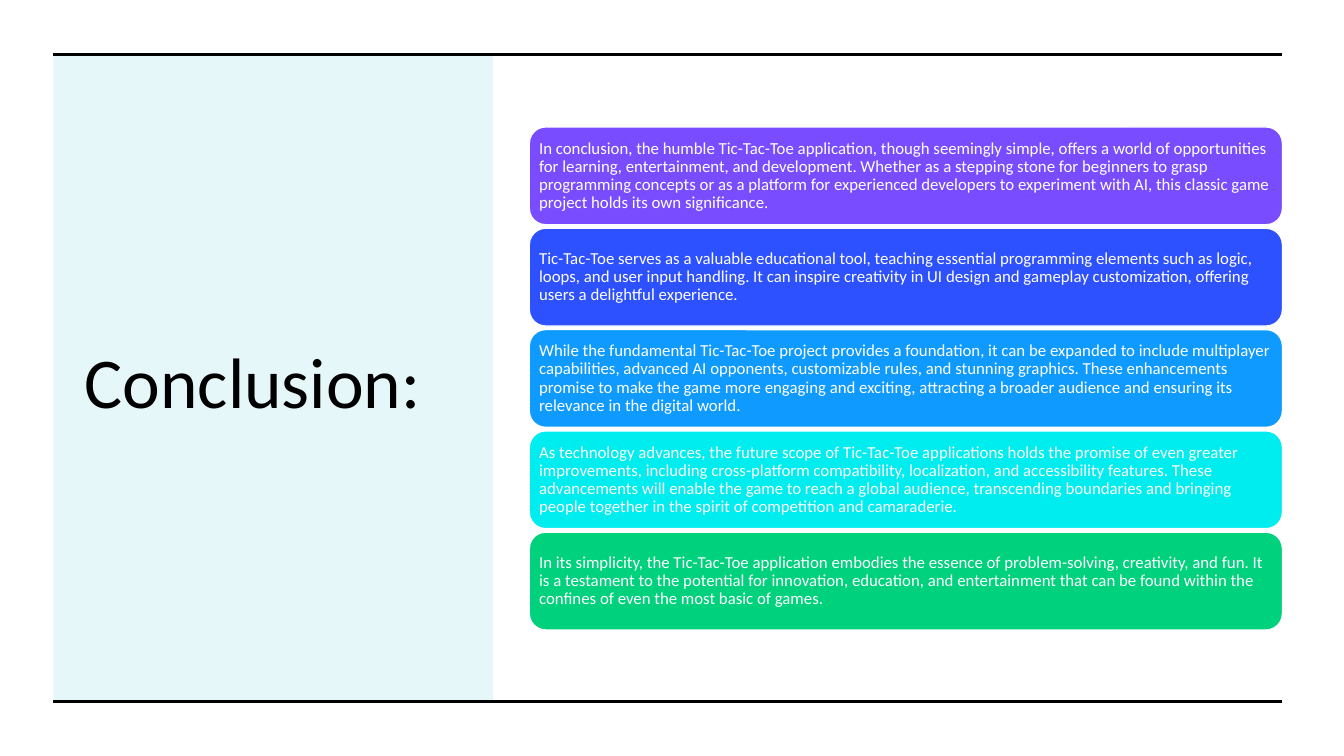
from lxml import etree
from pptx import Presentation
from pptx.dml.color import RGBColor
from pptx.enum import shapes, text
from pptx.oxml.ns import qn
from pptx.util import Inches, Pt

FONT = "Calibri"
BLACK, WHITE, TEAL = "000000", "FFFFFF", "00BAC8"

# Frame shared by the panel and the rules
FRAME_LEFT, FRAME_RIGHT = 0.53, 12.72
FRAME_TOP, FRAME_BOTTOM = 0.54, 6.96
PANEL_WIDTH = 4.36

# Stack of cards
CARD_LEFT, CARD_HEIGHT = 5.25, 0.97
FIRST_CARD_TOP, LAST_CARD_TOP = 1.26, 5.28

CARDS = [
    ("794DFF", "In conclusion, the humble Tic-Tac-Toe application, though seemingly simple, "
     "offers a world of opportunities for learning, entertainment, and development. Whether "
     "as a stepping stone for beginners to grasp programming concepts or as a platform for "
     "experienced developers to experiment with AI, this classic game project holds its own "
     "significance."),
    ("2E51FF", "Tic-Tac-Toe serves as a valuable educational tool, teaching essential "
     "programming elements such as logic, loops, and user input handling. It can inspire "
     "creativity in UI design and gameplay customization, offering users a delightful "
     "experience."),
    ("0F9AFF", "While the fundamental Tic-Tac-Toe project provides a foundation, it can be "
     "expanded to include multiplayer capabilities, advanced AI opponents, customizable "
     "rules, and stunning graphics. These enhancements promise to make the game more engaging "
     "and exciting, attracting a broader audience and ensuring its relevance in the digital "
     "world."),
    ("00EDF0", "As technology advances, the future scope of Tic-Tac-Toe applications holds "
     "the promise of even greater improvements, including cross-platform compatibility, "
     "localization, and accessibility features. These advancements will enable the game to "
     "reach a global audience, transcending boundaries and bringing people together in the "
     "spirit of competition and camaraderie."),
    ("00D17D", "In its simplicity, the Tic-Tac-Toe application embodies the essence of "
     "problem-solving, creativity, and fun. It is a testament to the potential for innovation, "
     "education, and entertainment that can be found within the confines of even the most "
     "basic of games."),
]


def color(value):
    return RGBColor.from_string(value)


def write_text(shape, content, *, size, font_color, margin=None, line_spacing=None):
    frame = shape.text_frame
    frame.text = content
    frame.word_wrap = True
    frame.auto_size = text.MSO_AUTO_SIZE.NONE
    frame.vertical_anchor = text.MSO_ANCHOR.MIDDLE
    if margin is not None:
        frame.margin_left = frame.margin_right = Inches(margin)
        frame.margin_top = frame.margin_bottom = Inches(margin)
    paragraph = frame.paragraphs[0]
    paragraph.alignment = text.PP_ALIGN.LEFT
    if line_spacing:
        paragraph.line_spacing = line_spacing
    font = paragraph.runs[0].font
    font.name, font.size = FONT, Pt(size)
    font.color.rgb = color(font_color)


def add_box(slide, kind, left, top, width, height, fill, line=None):
    shape = slide.shapes.add_shape(
        kind, Inches(left), Inches(top), Inches(width), Inches(height))
    shape.shadow.inherit = False
    shape.fill.solid()
    shape.fill.fore_color.rgb = color(fill)
    if line:
        shape.line.color.rgb = color(line)
        shape.line.width = Pt(1)
    else:
        shape.line.fill.background()
    return shape


def add_panel(slide):
    panel = add_box(slide, shapes.MSO_SHAPE.RECTANGLE, FRAME_LEFT, FRAME_TOP,
                    PANEL_WIDTH, FRAME_BOTTOM - FRAME_TOP, TEAL)
    fill_color = panel.element.spPr.find(qn("a:solidFill"))[0]
    etree.SubElement(fill_color, qn("a:alpha"), val="10000")
    return panel


def add_title(slide, content):
    title = slide.shapes.title
    title.left, title.top = Inches(0.74), Inches(1.07)
    title.width, title.height = Inches(3.89), Inches(5.5)
    write_text(title, content, size=51, font_color=BLACK, line_spacing=0.9)
    return title


def add_rule(slide, top):
    rule = slide.shapes.add_connector(
        shapes.MSO_CONNECTOR.STRAIGHT,
        Inches(FRAME_LEFT), Inches(top), Inches(FRAME_RIGHT), Inches(top))
    rule.line.color.rgb = color(BLACK)
    rule.line.width = Pt(2.25)
    etree.SubElement(rule.element.spPr, qn("a:effectLst"))


def add_card(slide, top, fill, content):
    card = add_box(slide, shapes.MSO_SHAPE.ROUNDED_RECTANGLE, CARD_LEFT, top,
                   FRAME_RIGHT - CARD_LEFT, CARD_HEIGHT, fill, line=WHITE)
    write_text(card, content, size=12, font_color=WHITE, margin=0.05, line_spacing=0.9)


def main():
    presentation = Presentation()
    presentation.slide_width, presentation.slide_height = Inches(13.33), Inches(7.5)
    slide = presentation.slides.add_slide(presentation.slide_layouts.get_by_name("Title Only"))

    # Title on its tinted panel
    panel = add_panel(slide)
    title = add_title(slide, "Conclusion:")
    title.element.addprevious(panel.element)

    # Rules above and below
    for top in (FRAME_TOP, FRAME_BOTTOM):
        add_rule(slide, top)

    # Evenly spaced cards
    pitch = (LAST_CARD_TOP - FIRST_CARD_TOP) / (len(CARDS) - 1)
    for index, (fill, content) in enumerate(CARDS):
        add_card(slide, FIRST_CARD_TOP + index * pitch, fill, content)

    presentation.save("out.pptx")


if __name__ == "__main__":
    main()
